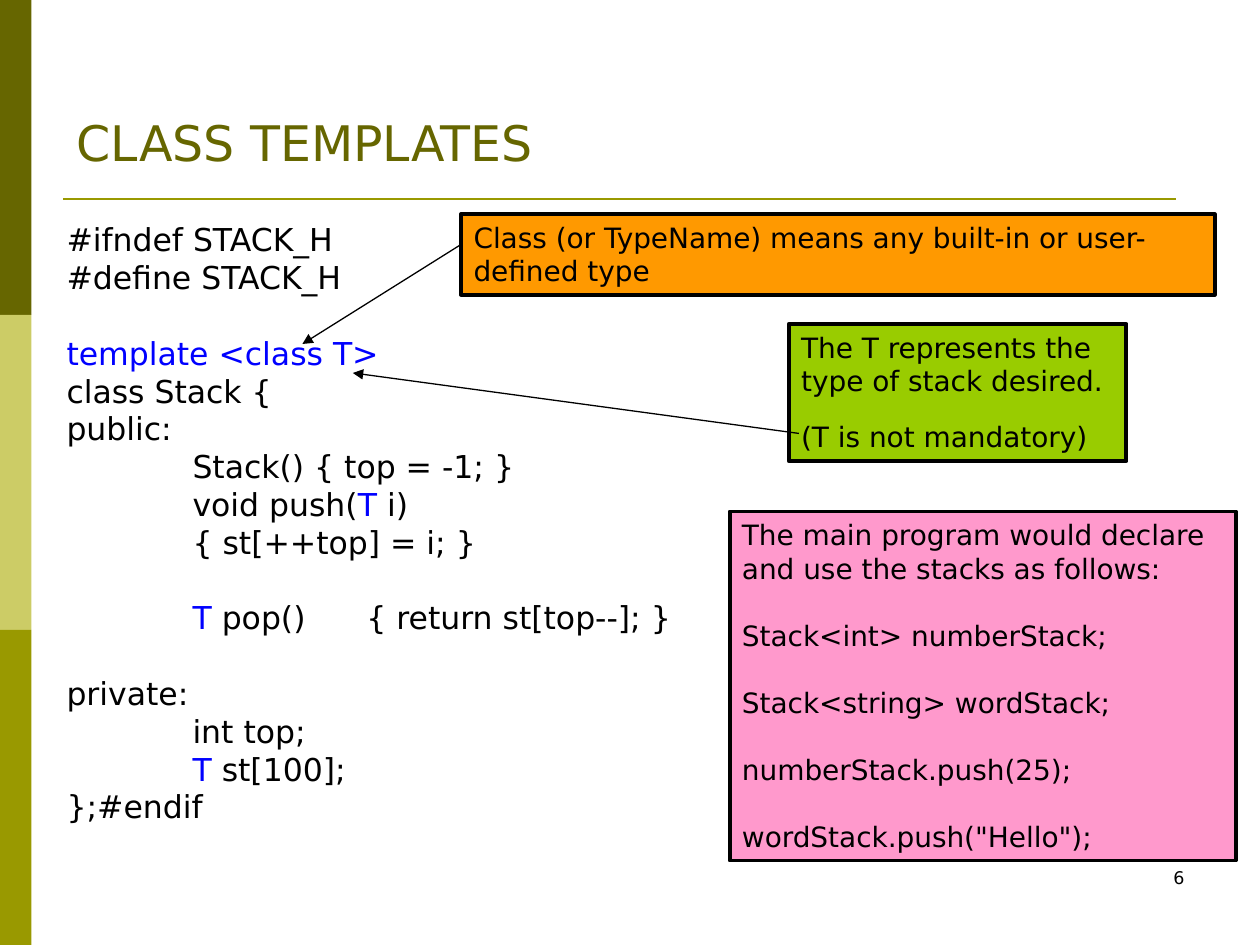
import dataclasses

import lxml.etree
import pptx
import pptx.dml.color
import pptx.enum.shapes
import pptx.enum.text
import pptx.oxml.ns
import pptx.util

Inches = pptx.util.Inches
Pt = pptx.util.Pt
Align = pptx.enum.text.PP_ALIGN


@dataclasses.dataclass(frozen=True)
class Theme:
    font: str = "DejaVu Sans"
    ink: str = "000000"
    keyword: str = "0000FF"
    dark_olive: str = "666600"
    pale_olive: str = "CCCC66"
    olive: str = "999900"
    orange: str = "FF9900"
    green: str = "99CC00"
    pink: str = "FF99CC"
    title_size: int = 28
    code_size: int = 18
    note_size: int = 16
    number_size: int = 10


def color(value):
    return pptx.dml.color.RGBColor.from_string(value)


def add_element(parent, tag, **attributes):
    name = pptx.oxml.ns.qn(tag)
    return lxml.etree.SubElement(parent, name, attributes)


class SlideBuilder:
    def __init__(self, slide, theme):
        self.slide = slide
        self.theme = theme

    def rectangle(self, place, fill, border=None):
        kind = pptx.enum.shapes.MSO_SHAPE.RECTANGLE
        box = self.slide.shapes.add_shape(kind, *map(Inches, place))
        box.shadow.inherit = False
        box.fill.solid()
        box.fill.fore_color.rgb = color(fill)
        if border:
            box.line.color.rgb = color(self.theme.ink)
            box.line.width = Pt(border)
        else:
            box.line.fill.background()
        return box

    def line(self, start, end, ink, width, arrow=False):
        kind = pptx.enum.shapes.MSO_CONNECTOR.STRAIGHT
        line = self.slide.shapes.add_connector(kind, *map(Inches, start + end))
        line.line.color.rgb = color(ink)
        line.line.width = Pt(width)
        properties = line._element.spPr
        if arrow:
            add_element(properties.get_or_add_ln(), "a:tailEnd", type="triangle")
        add_element(properties, "a:effectLst")

    def set_text(self, box, paragraphs, size, ink=None, align=Align.LEFT, tabs=()):
        frame = box.text_frame
        frame.word_wrap = True
        frame.vertical_anchor = pptx.enum.text.MSO_ANCHOR.TOP
        for index, (text, gap) in enumerate(paragraphs):
            para = frame.add_paragraph() if index else frame.paragraphs[0]
            if tabs:
                stops = add_element(para._p.get_or_add_pPr(), "a:tabLst")
                for stop in tabs:
                    add_element(stops, "a:tab", pos=str(Inches(stop)), algn="l")
            layout = {"alignment": align, "space_before": Pt(gap)}
            for name, value in layout.items():
                setattr(para, name, value)
            for position, piece in enumerate(text.split("|")):
                if not piece:
                    continue
                span = para.add_run()
                span.text = piece
                for name, value in {"name": self.theme.font, "size": Pt(size)}.items():
                    setattr(span.font, name, value)
                shade = self.theme.keyword if position % 2 else ink or self.theme.ink
                span.font.color.rgb = color(shade)

    def text(self, place, paragraphs, size, **style):
        box = self.slide.shapes.add_textbox(*map(Inches, place))
        self.set_text(box, paragraphs, size, **style)

    def note(self, place, fill, paragraphs):
        box = self.rectangle(place, fill, border=2.25)
        self.set_text(box, paragraphs, self.theme.note_size)


CODE_GAP = 21.6
NOTE_GAP = 19.2

CODE = [
    ("#ifndef STACK_H", 0),
    ("#define STACK_H", 0),
    ("|template <class T>|", CODE_GAP),
    ("class Stack {", 0),
    ("public:", 0),
    ("\tStack() { top = -1; }", 0),
    ("\tvoid push(|T| i)", 0),
    ("\t{ st[++top] = i; }", 0),
    ("\t|T| pop()\t{ return st[top--]; }", CODE_GAP),
    ("private:", CODE_GAP),
    ("\tint top;", 0),
    ("\t|T| st[100];", 0),
    ("};#endif", 0),
]

USAGE = [
    ("The main program would declare and use the stacks as follows:", 0),
    ("Stack<int> numberStack;", NOTE_GAP),
    ("Stack<string> wordStack;", NOTE_GAP),
    ("numberStack.push(25);", NOTE_GAP),
    ('wordStack.push("Hello");', NOTE_GAP),
]


def main():
    deck = pptx.Presentation()
    deck.slide_width, deck.slide_height = Inches(10), Inches(7.5)
    theme = Theme()
    page = SlideBuilder(deck.slides.add_slide(deck.slide_layouts[6]), theme)

    for row, fill in enumerate((theme.dark_olive, theme.pale_olive, theme.olive)):
        page.rectangle((0, 2.5 * row, 0.25, 2.5), fill)
    page.line((0.5, 1.58), (9.33, 1.58), theme.olive, 1.5)

    page.text((7.17, 6.83, 2.33, 0.5), [("6", 0)], theme.number_size, align=Align.RIGHT)
    page.text((0.43, 1.7, 9.37, 4.9), CODE, theme.code_size, tabs=(1, 2.38))
    page.text((0.51, 0.84, 8.58, 0.57), [("CLASS TEMPLATES", 0)],
              theme.title_size, ink=theme.dark_olive)

    page.note((6.26, 2.57, 2.68, 1.09), theme.green, [
        ("The T represents the type of stack desired.", 0),
        ("(T is not mandatory)", 13),
    ])
    page.note((5.79, 4.06, 4.02, 2.77), theme.pink, USAGE)
    page.line((6.34, 3.44), (2.8, 2.96), theme.ink, 0.75, arrow=True)
    page.note((3.66, 1.7, 5.98, 0.64), theme.orange, [
        ("Class (or TypeName) means any built-in or user-defined type", 0),
    ])
    page.line((3.66, 1.94), (2.4, 2.73), theme.ink, 0.75, arrow=True)

    deck.save("out.pptx")


if __name__ == "__main__":
    main()
